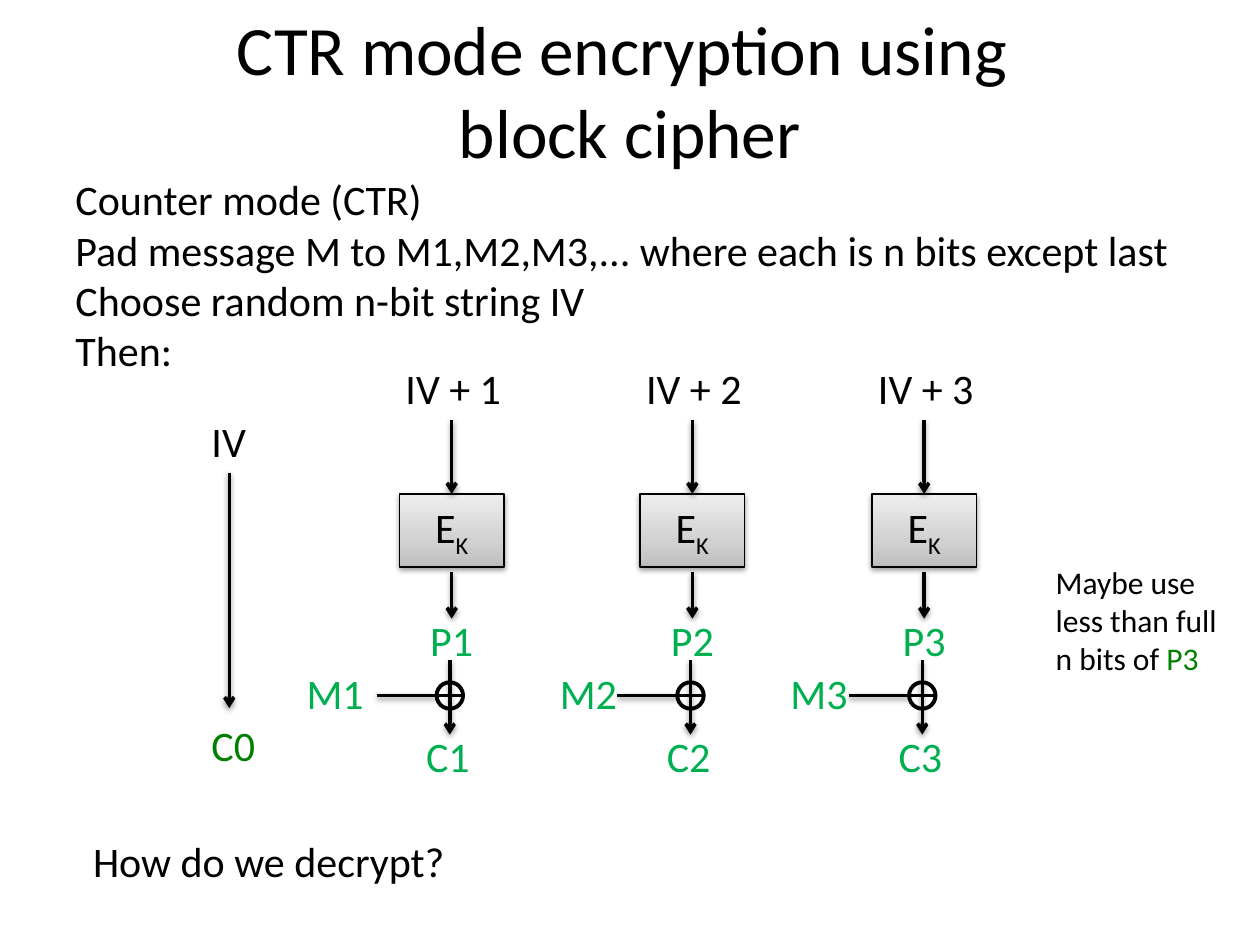
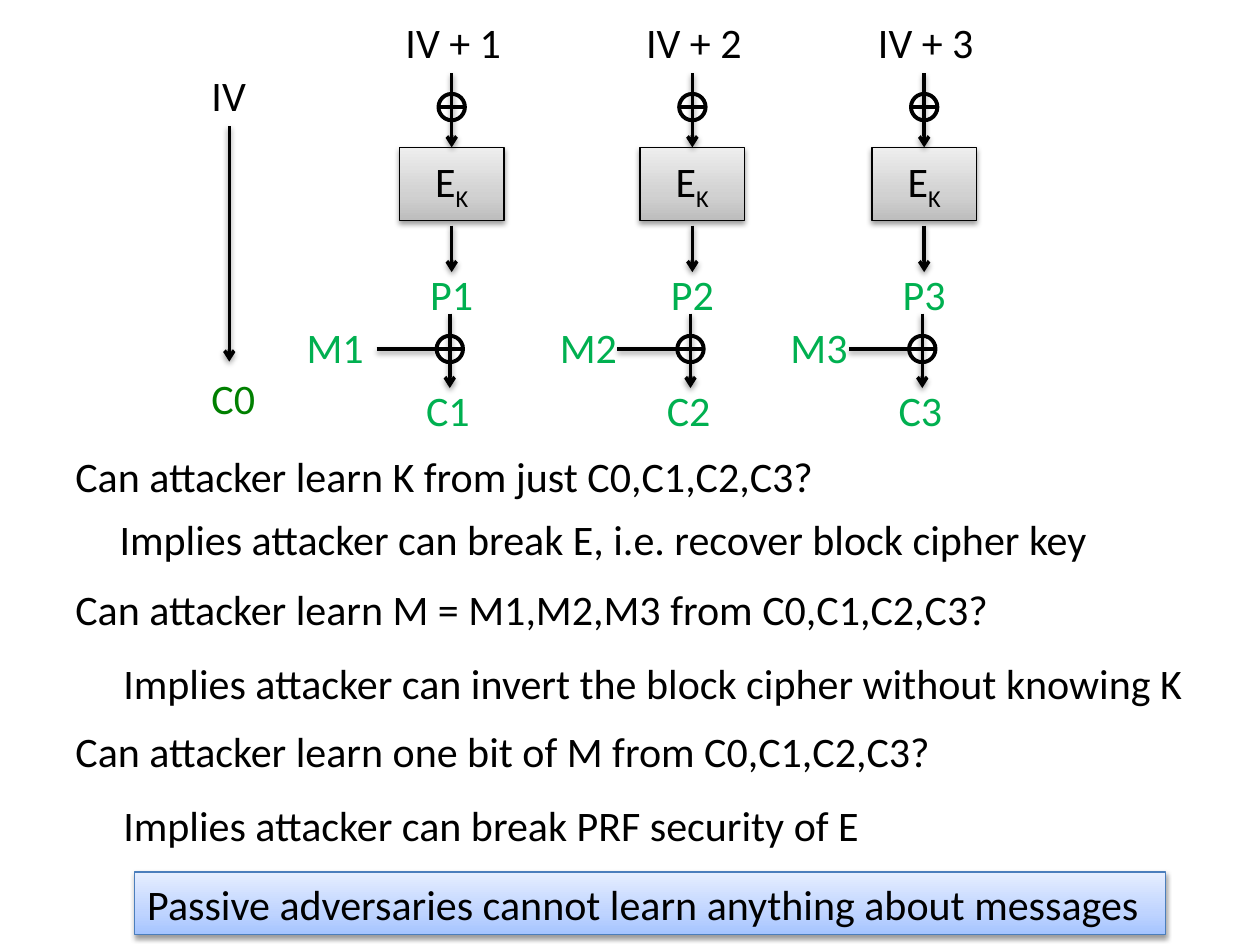
from dataclasses import dataclass
from lxml.etree import SubElement
from pptx import Presentation
from pptx.dml.color import RGBColor as RGB
from pptx.enum.shapes import MSO_CONNECTOR as CONN, MSO_SHAPE as SHAPE
from pptx.enum.text import MSO_ANCHOR as ANCHOR, MSO_AUTO_SIZE as FIT, PP_ALIGN as ALIGN
from pptx.oxml.ns import qn
from pptx.util import Inches, Pt


@dataclass(frozen=True)
class Theme:
    font: str = "Calibri"
    ink: str = "000000"
    green: str = "00B050"
    dark_green: str = "008000"
    blue_line: str = "4B7EBC"
    gray: tuple = ("BDBDBD", "D1D1D1", "EEEEEE")
    blue: tuple = ("A4C4FF", "BFD4FF", "E6EEFF")
    title: float = 39.6
    body: float = 24
    note: float = 18
    edge: float = 0.75
    arrow: float = 2
    xor: float = 2.25


T = Theme()
LEFT, CENTER = ALIGN.LEFT, ALIGN.CENTER


def add_text(s, at, paragraphs, color=T.ink, size=T.body, align=LEFT,
             wrap=False, anchor=ANCHOR.TOP, stops=None, edge=T.ink):
    box = [Inches(v) for v in at]
    if stops:
        sp = s.shapes.add_shape(SHAPE.RECTANGLE, *box)
        sp.fill.gradient()
        sp.fill.gradient_angle = 90
        gs_list = sp.fill._xPr.find(".//" + qn("a:gsLst"))
        gs_list.clear()
        for pos, value in zip((0, 35000, 100000), stops):
            gs = SubElement(gs_list, qn("a:gs"), pos=str(pos))
            SubElement(gs, qn("a:srgbClr"), val=value)
        sp.line.color.rgb = RGB.from_string(edge)
        sp.line.width = Pt(T.edge)
        sp.shadow.inherit = False
        add_shadow = sp._element.spPr.find(qn("a:effectLst"))
        shadow = SubElement(add_shadow, qn("a:outerShdw"), SHADOW)
        SubElement(SubElement(shadow, qn("a:srgbClr"), val=T.ink), qn("a:alpha"), val="38000")
    else:
        sp = s.shapes.add_textbox(*box)
    tf = sp.text_frame
    frame = {"word_wrap": wrap, "vertical_anchor": anchor,
             "auto_size": FIT.NONE if wrap else FIT.SHAPE_TO_FIT_TEXT}
    for name, value in frame.items():
        setattr(tf, name, value)
    for i, runs in enumerate(paragraphs):
        p = tf.paragraphs[0] if i == 0 else tf.add_paragraph()
        p.alignment = align
        for run in [(runs,)] if isinstance(runs, str) else runs:
            if run[0] == "\n":
                p.add_line_break()
                continue
            r = p.add_run()
            r.text = run[0]
            for name, value in {"name": T.font, "size": Pt(size)}.items():
                setattr(r.font, name, value)
            r.font.color.rgb = RGB.from_string(run[1] if len(run) > 1 else color)
            if len(run) > 2:
                r.font._element.set("baseline", run[2])
    return sp


def add_line(s, x1, y1, x2, y2, width=T.arrow, arrow=True, shadow=True):
    c = s.shapes.add_connector(CONN.STRAIGHT, *[Inches(v) for v in (x1, y1, x2, y2)])
    c.line.color.rgb = RGB.from_string(T.ink)
    c.line.width = Pt(width)
    if arrow:
        SubElement(c.line._get_or_add_ln(), qn("a:tailEnd"), type="arrow")
    effects = SubElement(c._element.spPr, qn("a:effectLst"))
    if shadow:
        outer = SubElement(effects, qn("a:outerShdw"), SHADOW)
        SubElement(SubElement(outer, qn("a:srgbClr"), val=T.ink), qn("a:alpha"), val="38000")
    return c


SHADOW = {"blurRad": "40000", "dist": "20000", "dir": "5400000", "rotWithShape": "0"}
BOX_W, BOX_H, TEXT_H, XOR_D = 0.83, 0.58, 0.5, 0.21
COLUMNS = [(3.17, 2.33), (5.08, 4.34), (6.92, 6.17)]

prs = Presentation()
prs.slide_width, prs.slide_height = Inches(10), Inches(7.5)
blank = prs.slide_layouts[6]
mode, attacks = [prs.slides.add_slide(blank) for _ in range(2)]

for s, top, xor_on_input in ((mode, 2.83, False), (attacks, 0.08, True)):
    add_text(s, (1.58, top + 0.42, 0.48, TEXT_H), ["IV"])
    add_line(s, 1.82, top + 0.92, 1.82, top + 2.79)
    add_text(s, (1.58, top + 2.83, 0.55, TEXT_H), ["C0"], T.dark_green)

    for n, (left, message_x) in enumerate(COLUMNS, 1):
        mid, out = left + BOX_W / 2, left + 0.4
        add_text(s, (left - 0.05, top, 0.97, TEXT_H), [f"IV + {n}"])
        cipher = add_text(s, (left, top + 1.09, BOX_W, BOX_H),
                          [[("E",), ("K", T.ink, "-25000")]], align=CENTER,
                          wrap=True, anchor=ANCHOR.MIDDLE, stops=T.gray)
        add_line(s, mid, top + 0.5, mid, top + 1.09).end_connect(cipher, 0)
        add_line(s, mid, top + 1.71, mid, top + 2.08)
        add_line(s, out, top + 2.41, out, top + 3)
        add_line(s, left - 0.18, top + 2.69, out - XOR_D / 2, top + 2.69, arrow=False)

        for label, x, y, w in (("M", message_x, 2.42, 0.66),
                               ("P", left + 0.14, 2, 0.55),
                               ("C", left + 0.11, 2.92, 0.55)):
            add_text(s, (x, top + y, w, TEXT_H), [f"{label}{n}"], T.green, align=CENTER)

        xors = [(out, top + 2.69)] + [(mid, top + 0.77)] * xor_on_input
        for x, y in xors:
            ring = s.shapes.add_shape(SHAPE.OVAL, Inches(x - XOR_D / 2), Inches(y - XOR_D / 2),
                                      Inches(XOR_D), Inches(XOR_D))
            ring.fill.background()
            ring.line.color.rgb = RGB.from_string(T.ink)
            ring.line.width = Pt(T.xor)
            ring.shadow.inherit = False
            add_line(s, x - XOR_D / 2, y, x + XOR_D / 2, y, T.xor, arrow=False, shadow=False)

add_text(mode, (0.5, 0.08, 9, 1.25),
         [[("CTR mode encryption using ",), ("\n",), ("block cipher",)]],
         size=T.title, align=CENTER, wrap=True, anchor=ANCHOR.MIDDLE)
add_text(mode, (0.5, 1.33, 8.99, 1.72),
         ["Counter mode (CTR)",
          "Pad message M to M1,M2,M3,... where each is n bits except last",
          "Choose random n-bit string IV",
          "Then:"])
add_text(mode, (0.64, 6.58, 3.02, TEXT_H), ["How do we decrypt?"])
add_text(mode, (8.28, 4.42, 1.49, 1.01),
         ["Maybe use", "less than full", [("n bits of ",), ("P3", T.dark_green)]],
         size=T.note)

for x, y, w, text in (
        (0.5, 3.53, 6.14, "Can attacker learn K from just C0,C1,C2,C3?"),
        (0.85, 4.03, 8.01, "Implies attacker can break E, i.e. recover block cipher key"),
        (0.5, 4.58, 7.54, "Can attacker learn M = M1,M2,M3 from C0,C1,C2,C3?"),
        (0.88, 5.17, 8.72, "Implies attacker can invert the block cipher without knowing K"),
        (0.5, 5.71, 7.32, "Can attacker learn one bit of M from C0,C1,C2,C3?"),
        (0.88, 6.3, 6.12, "Implies attacker can break PRF security of E")):
    add_text(attacks, (x, y, w, TEXT_H), [text])
add_text(attacks, (1.07, 6.92, 8.18, TEXT_H),
         ["Passive adversaries cannot learn anything about messages"],
         stops=T.blue, edge=T.blue_line)

prs.save("out.pptx")
